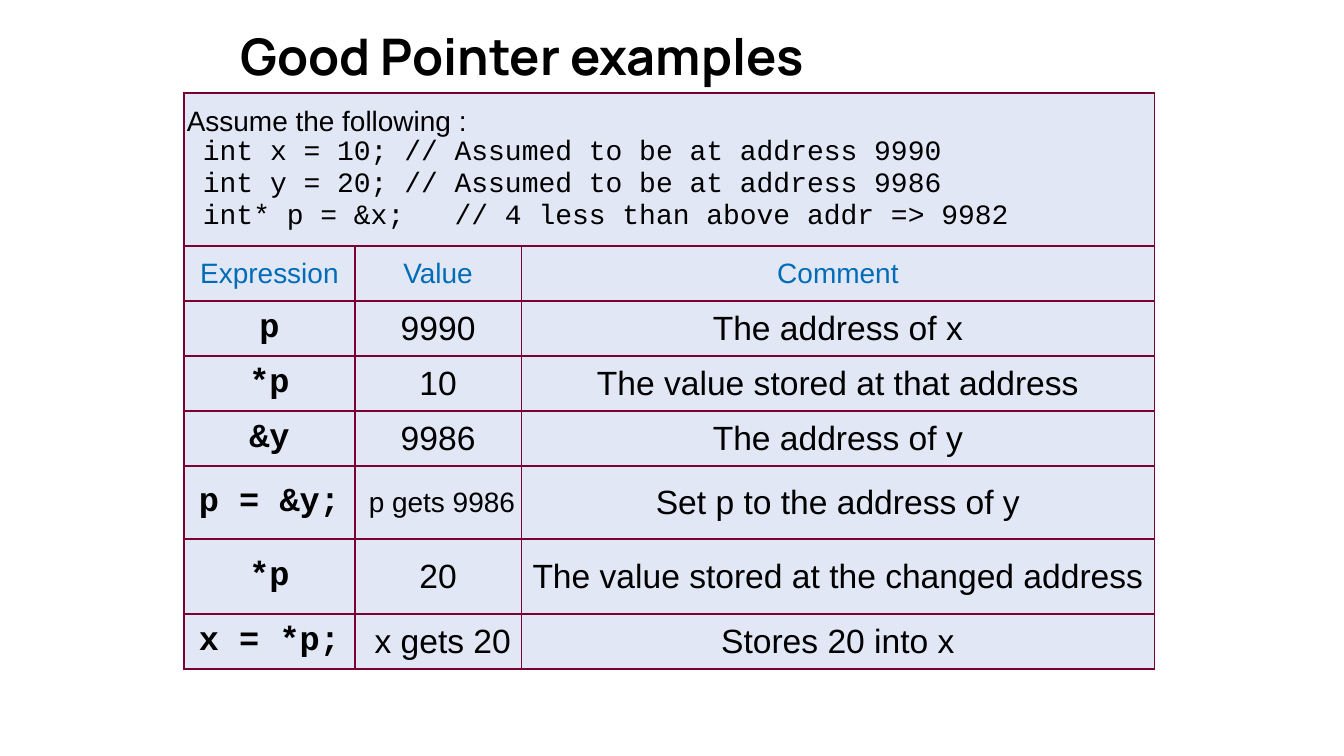
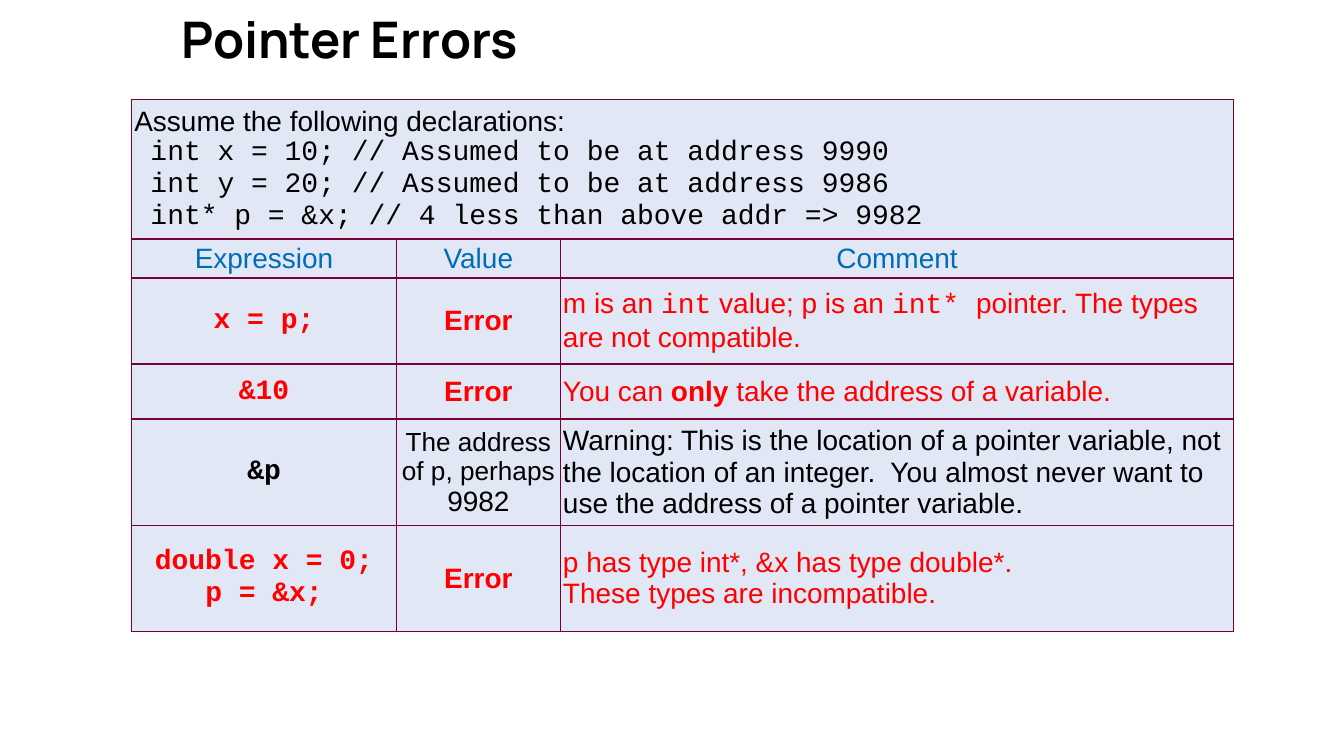
from lxml import etree
from pptx import Presentation
from pptx.dml.color import RGBColor
from pptx.enum.text import MSO_ANCHOR, MSO_AUTO_SIZE, PP_ALIGN
from pptx.oxml.ns import qn
from pptx.util import Inches, Pt

BLACK = RGBColor(0x00, 0x00, 0x00)
RED = RGBColor(0xFF, 0x00, 0x00)
HEADER_BLUE = RGBColor(0x00, 0x6C, 0xB7)
CELL_FILL = RGBColor(0xE1, 0xE7, 0xF5)
BORDER = RGBColor(0x79, 0x00, 0x32)

SANS, MONO, TITLE_FONT = "Arial", "Courier New", "Manrope"
CELL_MARGIN = Inches(0.02)
CODE_INDENT = Inches(0.12)
TITLE_STYLE = {"name": TITLE_FONT, "size": Pt(27), "bold": True, "color": BLACK}
TEXT_STYLE = {"name": SANS, "size": Pt(15), "bold": False, "color": BLACK}
HEADER_STYLE = {"color": HEADER_BLUE}
CODE_STYLE = {"name": MONO, "bold": True}
INLINE_CODE = {"name": MONO}
BOLD = {"bold": True}
SMALL = {"size": Pt(15)}

HEADERS = ("Expression", "Value", "Comment")
DECLARATIONS = (
    "int x = 10; // Assumed to be at address 9990",
    "int y = 20; // Assumed to be at address 9986",
)

# A cell is a string or a list of (text, style changes) runs; "\n" starts a paragraph.
SLIDES = [
    {
        "title": "Good Pointer examples",
        "title_box": (1.69, 0.19, 6.38, 0.5),
        "table_at": (1.37, 0.69),
        "columns": (1.27, 1.24, 4.71),
        "heights": (1.14, 0.41, 0.41, 0.41, 0.41, 0.54, 0.56, 0.41),
        "intro": "Assume the following :",
        "declarations": (*DECLARATIONS, "int* p = &x;   // 4 less than above addr => 9982"),
        "row_style": {"size": Pt(18)},
        "comment_alignment": PP_ALIGN.CENTER,
        "rows": [
            ("p", "9990", "The address of x"),
            ("*p", "10", "The value stored at that address"),
            ("&y", "9986", "The address of y"),
            ("p = &y;", [(" p gets 9986", SMALL)], "Set p to the address of y"),
            ("*p", "20", "The value stored at the changed address"),
            ("x = *p;", " x gets 20", "Stores 20 into x"),
        ],
    },
    {
        "title": "Pointer Errors",
        "title_box": (1.25, 0.12, 6.67, 0.44),
        "table_at": (0.98, 0.74),
        "columns": (1.97, 1.22, 5.01),
        "heights": (1.04, 0.29, 0.64, 0.41, 0.79, 0.79),
        "intro": "Assume the following declarations:",
        "declarations": (*DECLARATIONS, "int* p = &x; // 4 less than above addr => 9982"),
        "row_style": {},
        "comment_alignment": PP_ALIGN.LEFT,
        "rows": [
            ("x = p;", "Error", [
                ("m is an ", {}), ("int", INLINE_CODE), (" value; p is an ", {}),
                ("int* ", INLINE_CODE), ("pointer. The types are not compatible.", {}),
            ]),
            ("&10", "Error", [
                ("You can ", {}), ("only", BOLD), (" take the address of a variable.", {}),
            ]),
            ("&p", [("The address of p, perhaps ", {"size": Pt(14)}), ("9982", {})],
             "Warning: This is the location of a pointer variable, not the location of an "
             "integer.  You almost never want to use the address of a pointer variable."),
            ("double x = 0;\np = &x;", "Error",
             "p has type int*, &x has type double*.\nThese types are incompatible."),
        ],
    },
]


def add_run(paragraph, text, style):
    run = paragraph.add_run()
    run.text = text
    for attribute, value in style.items():
        if attribute == "color":
            run.font.color.rgb = value
        else:
            setattr(run.font, attribute, value)


def write_cell(cell, content, style, alignment):
    frame = cell.text_frame
    paragraph = frame.paragraphs[0]
    paragraph.alignment = alignment
    runs = [(content, {})] if isinstance(content, str) else content
    for text, changes in runs:
        for number, line in enumerate(text.split("\n")):
            if number:
                paragraph = frame.add_paragraph()
                paragraph.alignment = alignment
            add_run(paragraph, line, {**style, **changes})


def format_cell(cell):
    """Give a cell its fill, margins, anchor and four borders."""
    for side in ("left", "right", "top", "bottom"):
        setattr(cell, f"margin_{side}", CELL_MARGIN)
    cell.vertical_anchor = MSO_ANCHOR.MIDDLE
    cell.fill.solid()
    cell.fill.fore_color.rgb = CELL_FILL
    properties = cell._tc.get_or_add_tcPr()
    for position, edge in enumerate(("lnL", "lnR", "lnT", "lnB")):
        line = etree.Element(qn(f"a:{edge}"), w=str(Pt(1)))
        fill = etree.SubElement(line, qn("a:solidFill"))
        etree.SubElement(fill, qn("a:srgbClr"), val=str(BORDER))
        properties.insert(position, line)


def add_title(slide, text, box):
    title = slide.shapes.title
    title.left, title.top, title.width, title.height = map(Inches, box)
    frame = title.text_frame
    frame.auto_size = MSO_AUTO_SIZE.NONE
    frame.word_wrap = True
    frame.vertical_anchor = MSO_ANCHOR.BOTTOM
    frame.paragraphs[0].alignment = PP_ALIGN.LEFT
    add_run(frame.paragraphs[0], text, TITLE_STYLE)


def write_declarations(cell, intro, declarations):
    write_cell(cell, intro, TEXT_STYLE, PP_ALIGN.LEFT)
    for declaration in declarations:
        paragraph = cell.text_frame.add_paragraph()
        paragraph._p.get_or_add_pPr().set("marL", str(CODE_INDENT))
        add_run(paragraph, declaration, {**TEXT_STYLE, **INLINE_CODE})


def row_color(cells):
    return RED if cells[1] == "Error" else BLACK


def add_pointer_table(slide, content):
    columns, heights = content["columns"], content["heights"]
    left, top = content["table_at"]
    table = slide.shapes.add_table(
        len(heights), len(columns), Inches(left), Inches(top),
        Inches(sum(columns)), Inches(sum(heights))).table
    table.first_row = table.horz_banding = False
    for column, width in zip(table.columns, columns):
        column.width = Inches(width)
    for row, height in zip(table.rows, heights):
        row.height = Inches(height)
    for cell in table.iter_cells():
        format_cell(cell)

    table.cell(0, 0).merge(table.cell(0, len(columns) - 1))
    write_declarations(table.cell(0, 0), content["intro"], content["declarations"])
    for column, header in enumerate(HEADERS):
        write_cell(table.cell(1, column), header,
                   {**TEXT_STYLE, **HEADER_STYLE}, PP_ALIGN.CENTER)

    alignments = (PP_ALIGN.CENTER, PP_ALIGN.CENTER, content["comment_alignment"])
    for row, cells in enumerate(content["rows"], start=2):
        base = {**TEXT_STYLE, **content["row_style"], "color": row_color(cells)}
        for column, (text, alignment) in enumerate(zip(cells, alignments)):
            emphasis = CODE_STYLE if column == 0 else BOLD if text == "Error" else {}
            write_cell(table.cell(row, column), text, {**base, **emphasis}, alignment)


def main():
    presentation = Presentation()
    presentation.slide_width = Inches(10)
    presentation.slide_height = presentation.slide_width * 9 // 16
    title_only = presentation.slide_layouts.get_by_name("Title Only")
    for content in SLIDES:
        slide = presentation.slides.add_slide(title_only)
        add_title(slide, content["title"], content["title_box"])
        add_pointer_table(slide, content)
    presentation.save("out.pptx")


if __name__ == "__main__":
    main()
